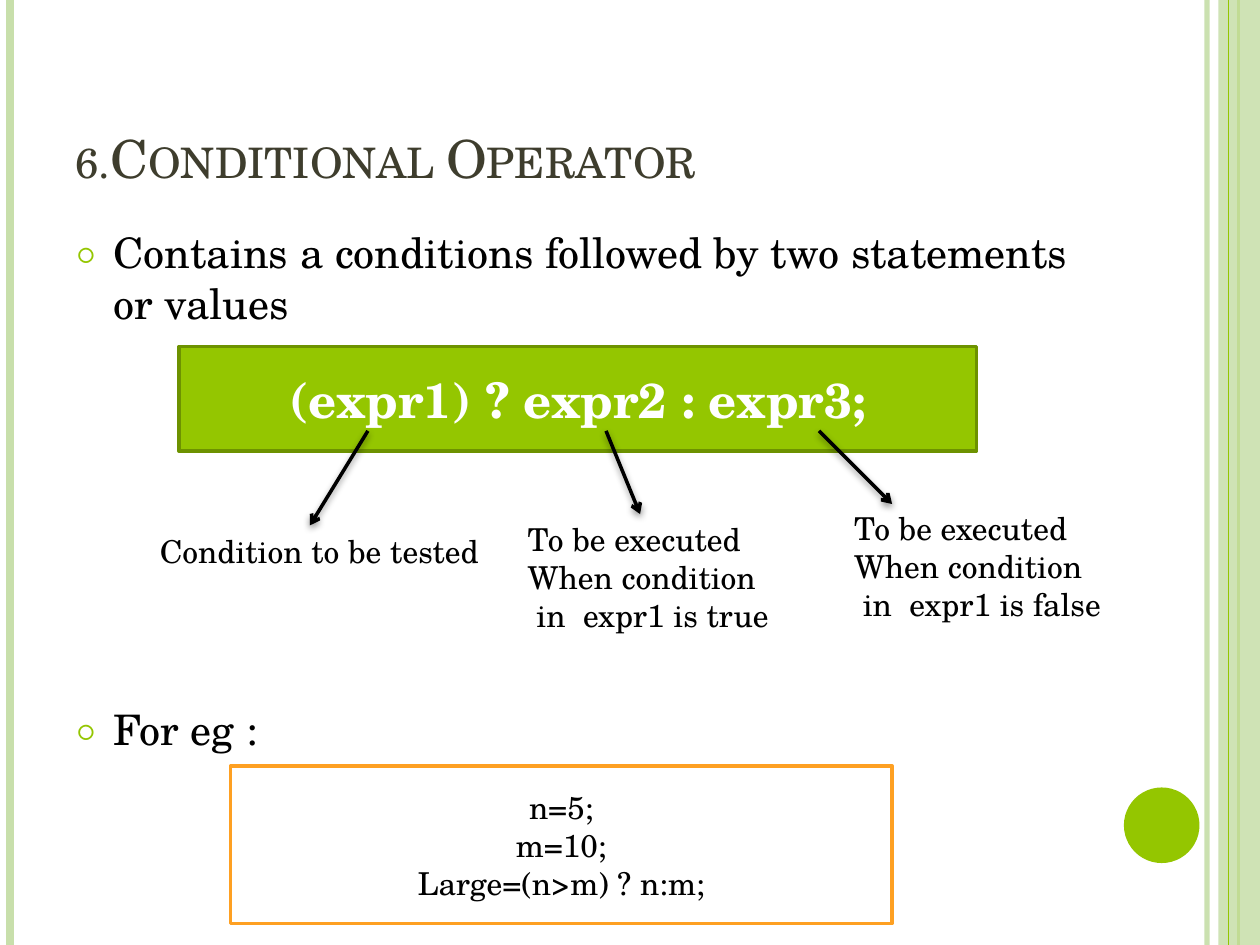
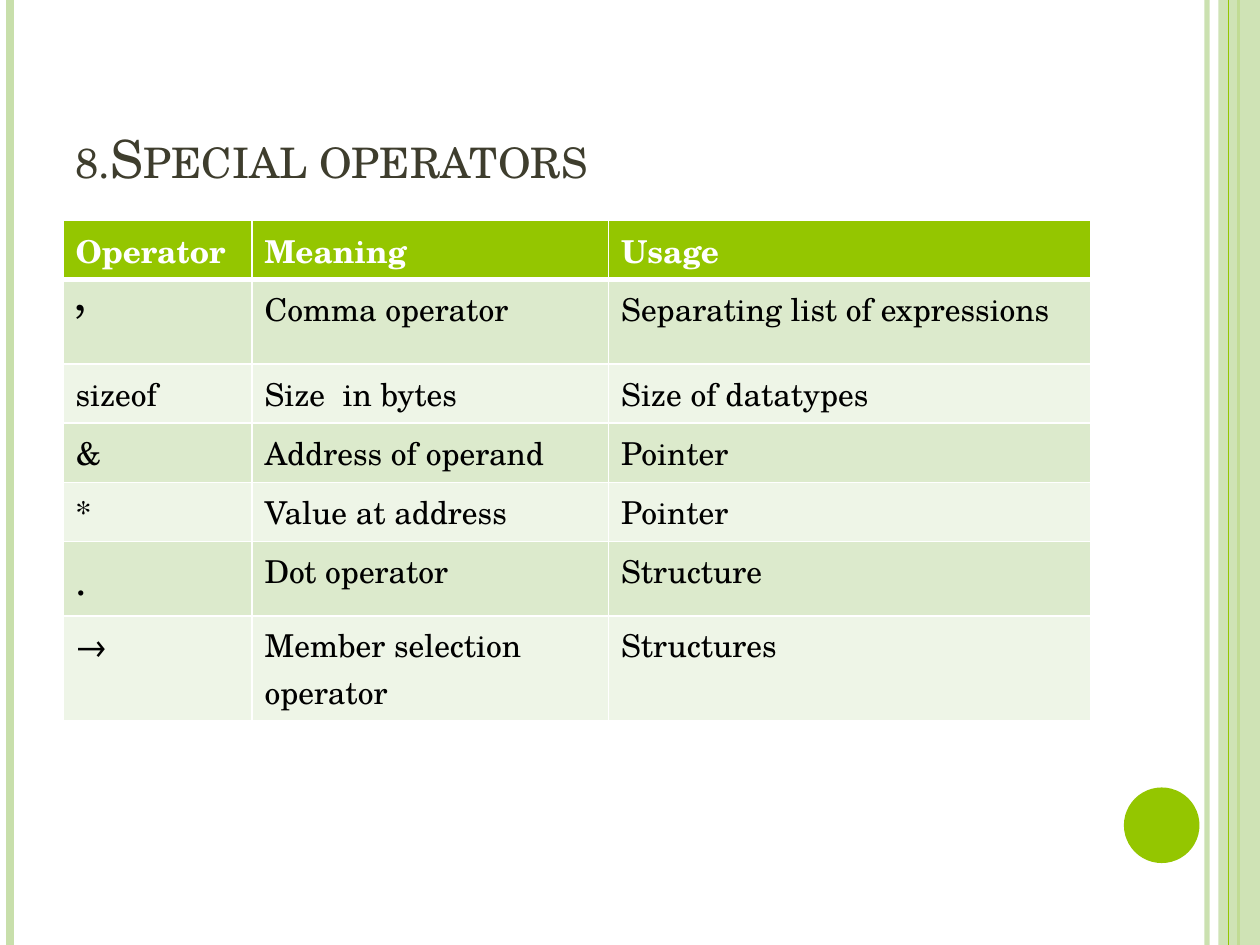
from dataclasses import dataclass
from typing import Any

from lxml.etree import SubElement
from pptx import Presentation
from pptx.dml.color import RGBColor
from pptx.enum.shapes import MSO_CONNECTOR, MSO_SHAPE
from pptx.enum.text import MSO_ANCHOR, PP_ALIGN
from pptx.oxml.ns import qn
from pptx.slide import Slide
from pptx.util import Inches, Pt


@dataclass(frozen=True)
class Theme:
    font: str = "TeX Gyre Schola"
    green: str = "94C600"
    edge: str = "6D9200"
    pale: str = "C8DFAB"
    orange: str = "FEA022"
    dark: str = "3E3D2D"
    black: str = "000000"
    white: str = "FFFFFF"
    bands: tuple[str, str] = ("DCEACC", "EEF5E7")
    title: int = 30
    body: int = 24
    code: int = 28
    small: int = 18


THEME = Theme()
HIGH = 7.5
LEFT = 0.5
WIDE = 8.17


@dataclass(frozen=True)
class Box:
    left: float
    top: float
    width: float
    height: float


@dataclass(frozen=True)
class Rule:
    x: float
    color: str
    weight: float
    alpha: int = 100


@dataclass(frozen=True)
class Note:
    start: tuple[float, float]
    end: tuple[float, float]
    box: Box
    lines: str


RULES = (Rule(9.58, THEME.pale, 3, 93), Rule(0.08, THEME.pale, 4.5),
         Rule(9.83, THEME.green, 1.5))
TOP_RULE = Rule(9.75, THEME.green, 0.75)

NOTES = (
    Note((2.92, 3.42), (2.46, 4.17), Box(1.17, 4.17, 2.76, 0.4),
         "Condition to be tested"),
    Note((4.81, 3.42), (5.08, 4.08), Box(4.09, 4.08, 2.13, 1.01),
         "To be executed\nWhen condition\n in  expr1 is true"),
    Note((6.5, 3.42), (7.08, 4), Box(6.68, 3.99, 2.19, 1.01),
         "To be executed\nWhen condition\n in  expr1 is false"),
)

COLS = (1.5, 2.83, 3.83)
ROWS = (
    (0.47, ("Operator", "Meaning", "Usage")),
    (0.67, ("’", "Comma operator", "Separating list of expressions")),
    (0.47, ("sizeof", "Size  in bytes", "Size of datatypes")),
    (0.47, ("&", "Address of operand", "Pointer")),
    (0.47, ("*", "Value at address", "Pointer")),
    (0.59, (".", "Dot operator", "Structure")),
    (0.83, ("→", "Member selection operator", "Structures")),
)
SIGNS = {"’": THEME.code, ".": THEME.body}


# Basic helpers
def rgb(code: str) -> RGBColor:
    return RGBColor.from_string(code)


def fade(props: Any, alpha: int) -> None:
    """Make the first colour in the properties partly clear."""
    if alpha < 100:
        tint = next(props.iter(qn("a:srgbClr")))
        SubElement(tint, qn("a:alpha"), val=str(alpha * 1000))


def write(frame: Any, text: str, size: int, color: str = THEME.black,
          bold: bool = False, align: PP_ALIGN = PP_ALIGN.LEFT) -> None:
    frame.text = text
    for para in frame.paragraphs:
        para.alignment = align
        for run in para.runs:
            font = run.font
            font.name, font.size, font.bold = THEME.font, Pt(size), bold
            font.color.rgb = rgb(color)


def place(box: Box) -> tuple[int, int, int, int]:
    return (Inches(box.left), Inches(box.top),
            Inches(box.width), Inches(box.height))


def add_text(slide: Slide, box: Box, text: str, size: int,
             color: str = THEME.black, wrap: bool = True) -> Any:
    frame = slide.shapes.add_textbox(*place(box)).text_frame
    frame.word_wrap = wrap
    write(frame, text, size, color)
    return frame


def add_form(slide: Slide, box: Box, fill: str, edge: str = "",
             kind: MSO_SHAPE = MSO_SHAPE.RECTANGLE) -> Any:
    form = slide.shapes.add_shape(kind, *place(box))
    form.shadow.inherit = False
    form.fill.solid()
    form.fill.fore_color.rgb = rgb(fill)
    if edge:
        form.line.color.rgb = rgb(edge)
        form.line.width = Pt(2)
    else:
        form.line.fill.background()
    return form


def add_line(slide: Slide, start: tuple[float, float],
             end: tuple[float, float], color: str, weight: float) -> Any:
    line = slide.shapes.add_connector(
        MSO_CONNECTOR.STRAIGHT, *(Inches(n) for n in start + end))
    line.line.color.rgb = rgb(color)
    line.line.width = Pt(weight)
    SubElement(line._element.spPr, qn("a:effectLst"))
    return line


def add_rule(slide: Slide, rule: Rule) -> None:
    line = add_line(slide, (rule.x, 0), (rule.x, HIGH),
                    rule.color, rule.weight)
    fade(line._element.spPr, rule.alpha)


def add_arrow(slide: Slide, note: Note) -> None:
    line = add_line(slide, note.start, note.end, THEME.black, 2)
    props = line._element.spPr
    SubElement(props.find(qn("a:ln")), qn("a:tailEnd"), type="arrow")
    cast = SubElement(props.find(qn("a:effectLst")), qn("a:outerShdw"),
                      blurRad=str(Pt(4)), dist=str(Pt(2)), dir="5400000",
                      rotWithShape="0")
    SubElement(cast, qn("a:srgbClr"), val=THEME.black)
    fade(cast, 40)


def add_bullet(para: Any) -> None:
    props = para._p.get_or_add_pPr()
    props.set("marL", str(Inches(0.3)))
    props.set("indent", str(Inches(-0.3)))
    tint = SubElement(props, qn("a:buClr"))
    SubElement(tint, qn("a:srgbClr"), val=THEME.green)
    SubElement(props, qn("a:buSzPct"), val="70000")
    SubElement(props, qn("a:buFont"), typeface=THEME.font)
    SubElement(props, qn("a:buChar"), char="○")


def add_edges(cell: Any, base: int) -> None:
    props = cell._tc.get_or_add_tcPr()
    for side, weight in (("L", 1), ("R", 1), ("T", 1), ("B", base)):
        edge = SubElement(props, qn(f"a:ln{side}"), w=str(Pt(weight)))
        fill = SubElement(edge, qn("a:solidFill"))
        SubElement(fill, qn("a:srgbClr"), val=THEME.white)


# Shared frame: side bands, dot and title
def add_page(deck: Any, title: str) -> Slide:
    slide = deck.slides.add_slide(deck.slide_layouts[6])
    for rule in RULES:
        add_rule(slide, rule)
    band = add_form(slide, Box(9.67, 0, 0.33, HIGH), THEME.pale)
    fade(band._element.spPr, 87)
    add_rule(slide, TOP_RULE)
    add_form(slide, Box(8.92, 6.25, 0.6, 0.6), THEME.green,
             kind=MSO_SHAPE.OVAL)
    frame = add_text(slide, Box(LEFT, 0.3, WIDE, 1.25), title,
                     THEME.title, THEME.dark)
    frame.vertical_anchor = MSO_ANCHOR.BOTTOM
    frame.paragraphs[0].runs[0].font._element.set("cap", "small")
    return slide


# Slide 1: the syntax with its three parts, and an example
def draw_choice(deck: Any) -> None:
    slide = add_page(deck, "6.Conditional Operator")
    frame = add_text(
        slide, Box(LEFT, 1.75, WIDE, 5.33),
        "Contains a conditions followed by two statements or values\n"
        "For eg :", THEME.body)
    for para, gap in zip(frame.paragraphs, (6, 215)):
        para.space_before = Pt(gap)
        add_bullet(para)

    syntax = add_form(slide, Box(1.42, 2.75, 6.33, 0.83),
                      THEME.green, THEME.edge)
    sample = add_form(slide, Box(1.83, 6.08, 5.25, 1.25),
                      THEME.white, THEME.orange)
    write(syntax.text_frame, "(expr1) ? expr2 : expr3;", THEME.code,
          THEME.white, True, PP_ALIGN.CENTER)
    write(sample.text_frame, "n=5;\nm=10;\nLarge=(n>m) ? n:m;",
          THEME.small, align=PP_ALIGN.CENTER)
    for form in (syntax, sample):
        form.text_frame.vertical_anchor = MSO_ANCHOR.MIDDLE

    for note in NOTES:
        add_arrow(slide, note)
        add_text(slide, note.box, note.lines, THEME.small, wrap=False)


# Slide 2: the table of operators
def draw_table(deck: Any) -> None:
    slide = add_page(deck, "8.Special operators")
    box = Box(LEFT, 1.75, sum(COLS), sum(high for high, _ in ROWS))
    table = slide.shapes.add_table(len(ROWS), len(COLS), *place(box)).table
    for col, width in zip(table.columns, COLS):
        col.width = Inches(width)
    for i, (high, texts) in enumerate(ROWS):
        table.rows[i].height = Inches(high)
        head = i == 0
        for cell, text in zip(table.rows[i].cells, texts):
            add_edges(cell, 3 if head else 1)
            cell.fill.solid()
            cell.fill.fore_color.rgb = rgb(
                THEME.green if head else THEME.bands[(i - 1) % 2])
            write(cell.text_frame, text, SIGNS.get(text, THEME.small),
                  THEME.white if head else THEME.black, head)


def main() -> None:
    deck = Presentation()
    deck.slide_width, deck.slide_height = Inches(10), Inches(HIGH)
    draw_choice(deck)
    draw_table(deck)
    deck.save("out.pptx")


if __name__ == "__main__":
    main()
